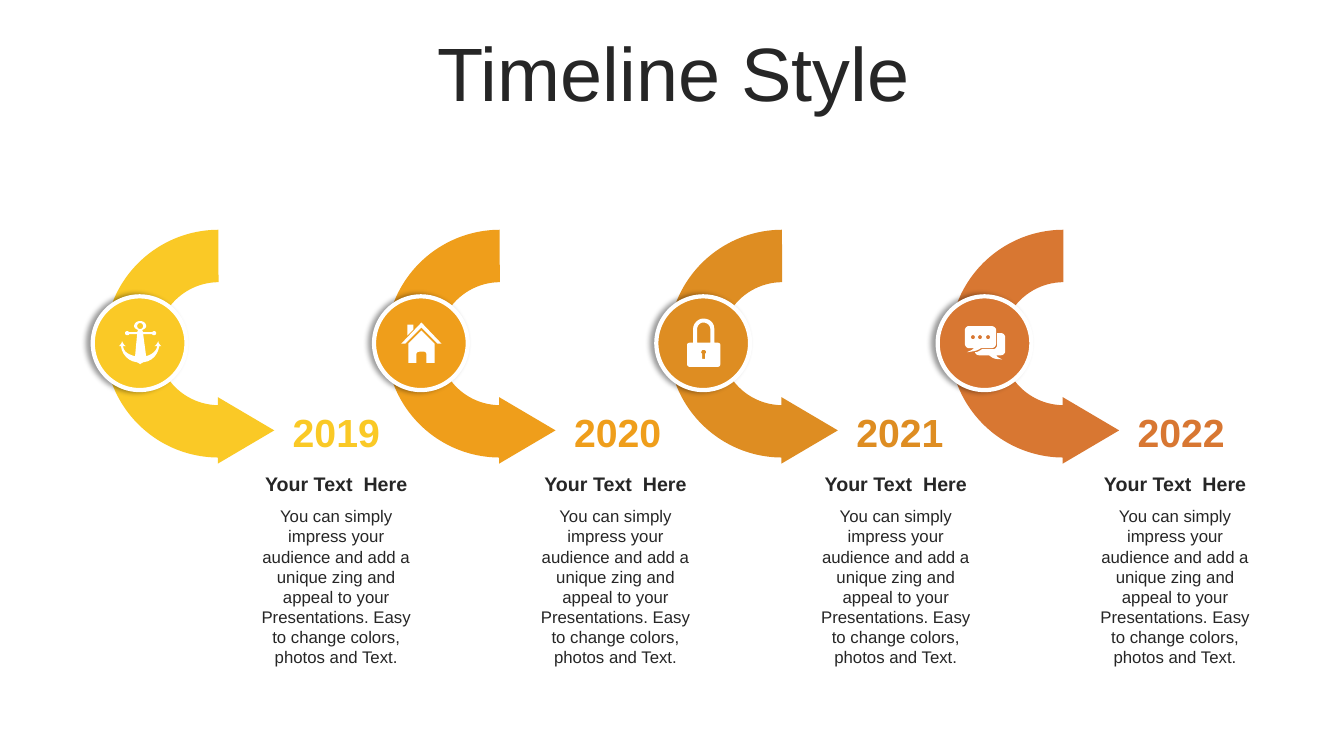
from dataclasses import dataclass
from math import cos, pi, sin

from lxml.etree import SubElement
from pptx import Presentation
from pptx.dml.color import RGBColor
from pptx.enum.shapes import MSO_SHAPE as Preset
from pptx.enum.text import MSO_ANCHOR as Anchor
from pptx.enum.text import PP_ALIGN as Align
from pptx.oxml.ns import qn
from pptx.util import Pt


@dataclass(frozen=True)
class Theme:
    font: str = "Arial"
    ink: str = "262626"
    white: str = "FFFFFF"
    shadow: str = "000000"
    title: int = 54
    year: int = 28
    heading: int = 14
    body: int = 12


THEME = Theme()
BODY = (
    "You can simply impress your audience and add a unique zing and appeal "
    "to your Presentations. Easy to change colors, photos and Text."
)
ANCHOR_ICON = (
    "O 21 5 3 M 21 0 C 24 0 27 2 27 5 C 27 7 25 8 23 9 L 24 11 L 33 11 "
    "C 33 11 34 10 35 10 C 36 10 37 11 37 12 C 37 13 36 14 35 14 "
    "C 34 14 33 14 33 13 L 24 13 L 27 35 C 33 33 37 30 38 25 "
    "C 37 25 36 25 35 25 C 37 24 38 22 39 20 C 39 22 41 24 42 25 "
    "C 42 25 41 25 40 25 C 39 32 34 40 24 41 C 22 42 22 42 21 43 "
    "C 20 42 20 42 18 41 C 9 40 3 33 2 25 C 1 25 0 25 0 25 "
    "C 1 24 3 22 3 20 C 4 22 5 24 7 25 C 6 25 5 25 4 25 "
    "C 5 31 9 33 16 35 L 18 13 L 10 13 C 10 14 9 14 8 14 "
    "C 7 14 6 13 6 12 C 6 11 7 10 8 10 C 9 10 10 11 10 11 "
    "L 18 11 L 19 9 C 17 8 15 7 15 5 C 15 2 18 0 21 0"
)
HOUSE_ICON = (
    "M 20 8 L 33 21 L 33 40 L 25 40 L 25 32 C 25 30 24 29 23 29 L 18 29 "
    "C 16 29 15 30 15 32 L 15 40 L 7 40 L 7 21 "
    "M 6 2 L 12 2 L 12 7 L 6 13 "
    "M 20 0 L 40 21 L 36 21 L 20 5 L 4 21 L 0 21"
)
LOCK_ICON = (
    "M 16 31 C 15 31 14 32 14 34 C 14 34 15 35 15 35 L 15 40 L 18 40 L 18 35 "
    "C 18 35 19 34 19 34 C 19 32 18 31 16 31 "
    "M 16 4 C 13 4 10 7 10 10 L 10 24 L 23 24 L 23 10 C 23 7 20 4 16 4 "
    "M 16 0 C 22 0 27 4 27 10 L 27 24 L 30 24 C 32 24 33 25 33 26 L 33 45 "
    "C 33 47 32 48 30 48 L 3 48 C 1 48 0 47 0 45 L 0 26 C 0 25 1 24 3 24 "
    "L 6 24 L 6 10 C 6 5 11 0 16 0"
)
CHAT_ICON = (
    "O 8 11 2 O 15 11 2 O 23 11 2 "
    "M 32 7 L 36 7 C 38 7 40 9 40 11 L 40 25 C 40 27 38 29 36 29 L 31 29 "
    "C 32 30 32 31 37 33 C 29 33 28 32 24 29 L 14 29 C 12 29 11 28 10 26 "
    "C 13 26 15 24 17 23 L 28 23 C 30 23 32 21 32 19 "
    "M 4 0 L 26 0 C 29 0 31 2 31 4 L 31 17 C 31 20 29 22 26 22 L 16 22 "
    "C 11 25 9 25 2 26 C 6 24 7 24 9 22 L 4 22 C 2 22 0 20 0 17 L 0 4 "
    "C 0 2 2 0 4 0"
)
STEPS = [
    ("2019", "FAC926", ANCHOR_ICON),
    ("2020", "EF9E1B", HOUSE_ICON),
    ("2021", "DE8D22", LOCK_ICON),
    ("2022", "D87732", CHAT_ICON),
]
ARROW_PITCH = 279.33
TEXT_PITCH = 277.33


def curve(points, steps=6):
    for step in range(1, steps + 1):
        t = step / steps
        weights = ((1 - t) ** 3, 3 * t * (1 - t) ** 2, 3 * t * t * (1 - t), t**3)
        yield tuple(
            sum(weight * point[axis] for weight, point in zip(weights, points))
            for axis in (0, 1)
        )


def outline(commands):
    tokens = iter(commands.split())
    contours = []
    for command in tokens:
        count = {"M": 2, "L": 2, "C": 6, "O": 3}[command]
        numbers = [int(next(tokens)) for _ in range(count)]
        if command == "O":
            x, y, radius = numbers
            angles = [step * pi / 8 for step in range(16)]
            contours.append([(x + radius * cos(a), y + radius * sin(a)) for a in angles])
            continue
        points = list(zip(numbers[::2], numbers[1::2]))
        if command == "M":
            contours.append(points)
        elif command == "L":
            contours[-1] += points
        else:
            contours[-1] += list(curve([contours[-1][-1], *points]))
    return contours


def apply(target, values):
    for name, value in values.items():
        setattr(target, name, value)


class Canvas:
    SCALE = 9144

    def __init__(self, presentation, theme):
        self.theme = theme
        self.slide = presentation.slides.add_slide(presentation.slide_layouts[6])

    def px(self, *lengths):
        return [round(length * self.SCALE) for length in lengths]

    def paint(self, shape, color):
        shape.shadow.inherit = False
        shape.fill.solid()
        shape.fill.fore_color.rgb = RGBColor.from_string(color)
        shape.line.fill.background()

    def text(self, box, wording, size, color=None, bold=False, anchor=Anchor.TOP, spacing=1.0):
        frame = self.slide.shapes.add_textbox(*self.px(*box)).text_frame
        apply(frame, {"word_wrap": True, "vertical_anchor": anchor})
        paragraph = frame.paragraphs[0]
        apply(paragraph, {"alignment": Align.CENTER, "line_spacing": spacing})
        run = paragraph.add_run()
        run.text = wording
        apply(run.font, {"name": self.theme.font, "size": Pt(size), "bold": bold})
        run.font.color.rgb = RGBColor.from_string(color or self.theme.ink)

    def preset(self, kind, box, color, rotation=0, adjustments=()):
        shape = self.slide.shapes.add_shape(kind, *self.px(*box))
        self.paint(shape, color)
        shape.rotation = rotation
        for index, value in enumerate(adjustments):
            shape.adjustments[index] = value
        return shape

    def badge(self, box, color):
        shape = self.preset(Preset.OVAL, box, color)
        shape.line.color.rgb = RGBColor.from_string(self.theme.white)
        shape.line.width = Pt(3)
        effects = shape.element.spPr.find(qn("a:effectLst"))
        settings = {"blurRad": Pt(4), "dist": Pt(3), "dir": 180 * 60000, "algn": "r", "rotWithShape": 0}
        shadow = SubElement(effects, qn("a:outerShdw"))
        for name, value in settings.items():
            shadow.set(name, str(value))
        tint = SubElement(shadow, qn("a:srgbClr"), val=self.theme.shadow)
        SubElement(tint, qn("a:alpha"), val="40000")

    def icon(self, center_x, center_y, commands):
        contours = outline(commands)
        xs, ys = zip(*(point for contour in contours for point in contour))
        left = center_x - (min(xs) + max(xs)) / 2
        top = center_y - (min(ys) + max(ys)) / 2
        placed = [[self.px(left + x, top + y) for x, y in contour] for contour in contours]
        builder = self.slide.shapes.build_freeform(*placed[0][0], scale=1.0)
        for index, contour in enumerate(placed):
            if index:
                builder.move_to(*contour[0])
            builder.add_line_segments(contour[1:], close=True)
        self.paint(builder.convert_to_shape(), self.theme.white)


def main():
    presentation = Presentation()
    apply(presentation, {"slide_width": 1333 * Canvas.SCALE, "slide_height": 750 * Canvas.SCALE})
    canvas = Canvas(presentation, THEME)
    canvas.text((35, 37, 1266, 79), "Timeline Style", THEME.title, anchor=Anchor.MIDDLE, spacing=0.9)
    for index, (year, color, icon) in enumerate(STEPS):
        shift = round(index * ARROW_PITCH)
        column = 248 + round(index * TEXT_PITCH)
        canvas.preset(Preset.BLOCK_ARC, (104 + shift, 228, 226, 226), color, adjustments=(54.13, 161.88, 0.23))
        canvas.preset(Preset.ISOSCELES_TRIANGLE, (211 + shift, 399, 66, 56), color, rotation=90)
        canvas.badge((92 + shift, 294, 93, 93), color)
        canvas.icon(139 + shift, 340, icon)
        canvas.text((268 + shift, 400, 131, 57), year, THEME.year, color, bold=True)
        canvas.text((column, 463, 171, 34), "Your Text  Here", THEME.heading, bold=True, anchor=Anchor.MIDDLE)
        canvas.text((column, 497, 171, 172), BODY, THEME.body)
    presentation.save("out.pptx")


if __name__ == "__main__":
    main()
